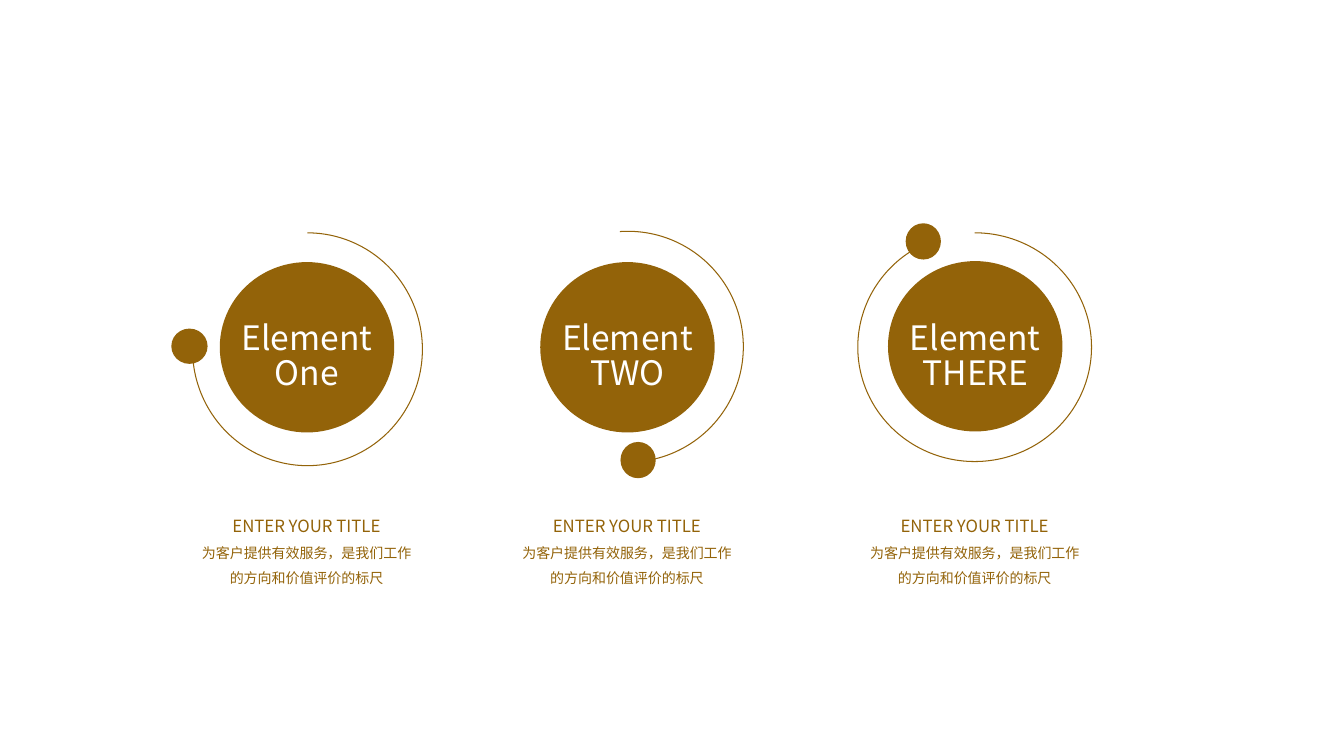
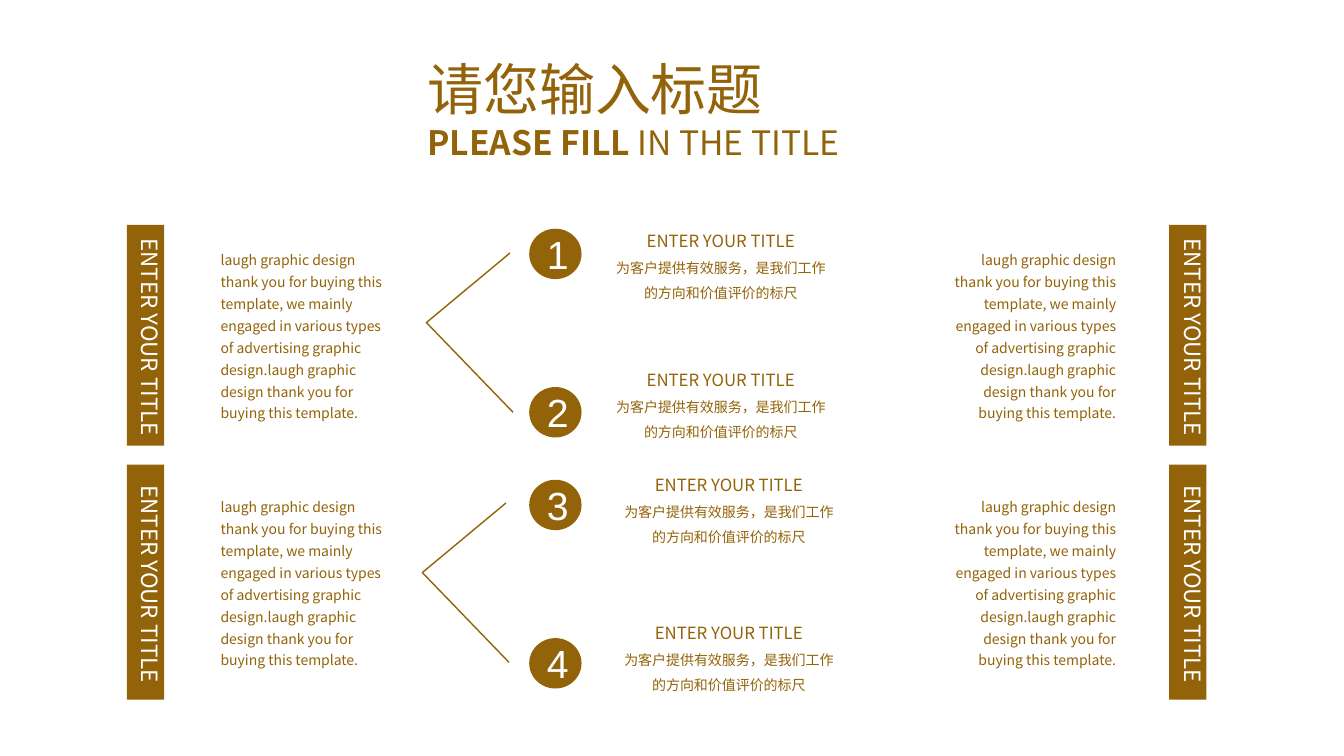
from copy import deepcopy
from dataclasses import dataclass
from typing import NamedTuple

from lxml import etree
from pptx import Presentation
from pptx.dml.color import RGBColor
from pptx.enum.shapes import MSO_SHAPE
from pptx.enum.text import MSO_ANCHOR, MSO_AUTO_SIZE, PP_ALIGN
from pptx.oxml.ns import qn
from pptx.util import Pt

OVAL, RECT, ARC = MSO_SHAPE.OVAL, MSO_SHAPE.RECTANGLE, MSO_SHAPE.ARC
LEFT, CENTER, RIGHT = PP_ALIGN.LEFT, PP_ALIGN.CENTER, PP_ALIGN.RIGHT
JUSTIFY = PP_ALIGN.JUSTIFY
MIDDLE = MSO_ANCHOR.MIDDLE
GROW = MSO_AUTO_SIZE.SHAPE_TO_FIT_TEXT


@dataclass(frozen=True)
class Theme:
    gold: RGBColor = RGBColor(0x93, 0x63, 0x09)
    white: RGBColor = RGBColor(0xFF, 0xFF, 0xFF)
    font: str = "Noto Sans CJK SC"
    digit_font: str = "Arial"
    title: int = 40
    subtitle: int = 24
    element: int = 24
    digit: int = 28
    bar: int = 16
    heading: int = 12
    body: int = 10


THEME = Theme()


class Box(NamedTuple):
    left: float
    top: float
    width: float
    height: float

    def lengths(self) -> list:
        return [Pt(value) for value in self]


class Run(NamedTuple):
    text: str
    size: float
    bold: bool = False


@dataclass(frozen=True)
class Element:
    label: str
    disk_left: float
    disk_top: float
    orbit: Box
    start: float
    end: float
    moon: Box


@dataclass(frozen=True)
class Step:
    number: str
    disk_top: float
    caption_left: float
    caption_top: float


@dataclass(frozen=True)
class Tier:
    bar_top: float
    bar_height: float
    label_top: float
    body_top: float
    chevron_left: float
    chevron_top: float
    steps: tuple


@dataclass(frozen=True)
class Side:
    bar_left: float
    body_left: float
    align: PP_ALIGN


HEADING = "ENTER YOUR TITLE"
CAPTION = "为客户提供有效服务，是我们工作的方向和价值评价的标尺"
BODY = (
    "laugh graphic design thank you for buying this template, we mainly engaged "
    "in various types of advertising graphic design.laugh graphic design thank "
    "you for buying this template."
)

ELEMENTS = (
    Element("Element One", 157, 187.2, Box(137.5, 166.3, 164.2, 166.3),
            270, 180, Box(122.4, 234.7, 25.9, 25.2)),
    Element("Element TWO", 385.9, 187.2, Box(366.1, 165.2, 164.9, 164.9),
            266, 86, Box(443.2, 315.7, 25.2, 25.9)),
    Element("Element THERE", 634.3, 186.5, Box(612.7, 166.3, 167, 163.4),
            270, 244, Box(646.9, 159.5, 25.2, 25.9)),
)

TIERS = (
    Tier(160.6, 157.7, 163.4, 172.8, 304.6, 180.7,
         (Step("1", 163.4, 432.7, 154.1), Step("2", 276.5, 432.7, 253.4))),
    Tier(331.9, 167.8, 339.8, 349.2, 301.7, 359.3,
         (Step("3", 342.7, 438.5, 328.3), Step("4", 455.8, 438.5, 434.2))),
)

SIDES = (Side(90.7, 150.5, LEFT), Side(835.2, 669.6, RIGHT))


def add_figure(slide, preset, box: Box):
    figure = slide.shapes.add_shape(preset, *box.lengths())
    figure.shadow.inherit = False
    figure.fill.solid()
    figure.fill.fore_color.rgb = THEME.gold
    figure.line.fill.background()
    return figure


def outline(figure, weight: float) -> None:
    figure.shadow.inherit = False
    figure.fill.background()
    figure.line.color.rgb = THEME.gold
    figure.line.width = Pt(weight)


def write(frame, paragraphs, *, color=THEME.gold, font=THEME.font, align=LEFT,
          spacing=None, after=None) -> None:
    for index, runs in enumerate(paragraphs):
        paragraph = frame.add_paragraph() if index else frame.paragraphs[0]
        paragraph.alignment = align
        if spacing:
            paragraph.line_spacing = spacing
        if after:
            paragraph.space_after = Pt(after)
        for part in runs:
            run = paragraph.add_run()
            run.text = part.text.rstrip("\n")
            run.font.name = font
            run.font.size = Pt(part.size)
            run.font.bold = part.bold
            run.font.color.rgb = color
            properties = run._r.get_or_add_rPr()
            etree.SubElement(properties, qn("a:ea")).set("typeface", font)
            if part.text.endswith("\n"):
                paragraph.add_line_break()
                paragraph._p[-1].append(deepcopy(properties))


def add_text(slide, box: Box, paragraphs, *, vertical=False, **style) -> None:
    frame = slide.shapes.add_textbox(*box.lengths()).text_frame
    frame.word_wrap = not vertical
    frame.auto_size = GROW
    if vertical:
        frame._txBody.bodyPr.set("vert", "eaVert")
    write(frame, paragraphs, **style)


def add_caption(slide, left: float, top: float) -> None:
    runs = [Run(HEADING + "\n", THEME.heading), Run(CAPTION, THEME.body)]
    add_text(slide, Box(left, top, 164.2, 65.5), [runs],
             align=CENTER, spacing=1.5, after=6)


def add_element(slide, element: Element) -> None:
    left = element.disk_left
    add_figure(slide, OVAL, Box(left, element.disk_top, 124.6, 121.7))
    orbit = add_figure(slide, ARC, element.orbit)
    orbit.adjustments[0] = element.start * 0.6
    orbit.adjustments[1] = element.end * 0.6
    outline(orbit, 0)
    add_figure(slide, OVAL, element.moon)
    add_text(slide, Box(left, 227.5, 124.6, 56.9),
             [[Run(element.label, THEME.element)]],
             color=THEME.white, align=CENTER, spacing=0.85)
    add_caption(slide, left - 20.2, 357.8)


def add_chevron(slide, left: float, top: float) -> None:
    builder = slide.shapes.build_freeform(Pt(left + 59.7), Pt(top))
    builder.add_line_segments(
        [(Pt(left), Pt(top + 49.7)), (Pt(left + 61.9), Pt(top + 113.8))],
        close=False)
    outline(builder.convert_to_shape(), 1)


def add_step(slide, step: Step) -> None:
    disk = add_figure(slide, OVAL, Box(378, step.disk_top, 37.4, 36))
    disk.text_frame.vertical_anchor = MIDDLE
    write(disk.text_frame, [[Run(step.number, THEME.digit)]],
          color=THEME.white, font=THEME.digit_font, align=CENTER)
    add_caption(slide, step.caption_left, step.caption_top)


def add_side(slide, side: Side, tier: Tier) -> None:
    add_figure(slide, RECT, Box(side.bar_left, tier.bar_top, 26.6, tier.bar_height))
    add_text(slide, Box(side.bar_left - 3.6, tier.label_top, 33.8, 151.9),
             [[Run(HEADING, THEME.bar)]], vertical=True, color=THEME.white)
    add_text(slide, Box(side.body_left, tier.body_top, 134.6, 133.2),
             [[Run(BODY, THEME.body)]], align=side.align, spacing=1.3)


def build_elements(slide) -> None:
    for element in ELEMENTS:
        add_element(slide, element)


def build_steps(slide) -> None:
    add_text(slide, Box(298.1, 35.3, 364.3, 85), [
        [Run("请您输入标题", THEME.title)],
        [Run("PLEASE FILL ", THEME.subtitle, True),
         Run("IN THE TITLE", THEME.subtitle)],
    ], align=JUSTIFY)
    for tier in TIERS:
        for side in SIDES:
            add_side(slide, side, tier)
        add_chevron(slide, tier.chevron_left, tier.chevron_top)
        for step in tier.steps:
            add_step(slide, step)


def main() -> None:
    deck = Presentation()
    deck.slide_width, deck.slide_height = Pt(960), Pt(540)
    for build in (build_elements, build_steps):
        build(deck.slides.add_slide(deck.slide_layouts[6]))
    deck.save("out.pptx")


if __name__ == "__main__":
    main()
